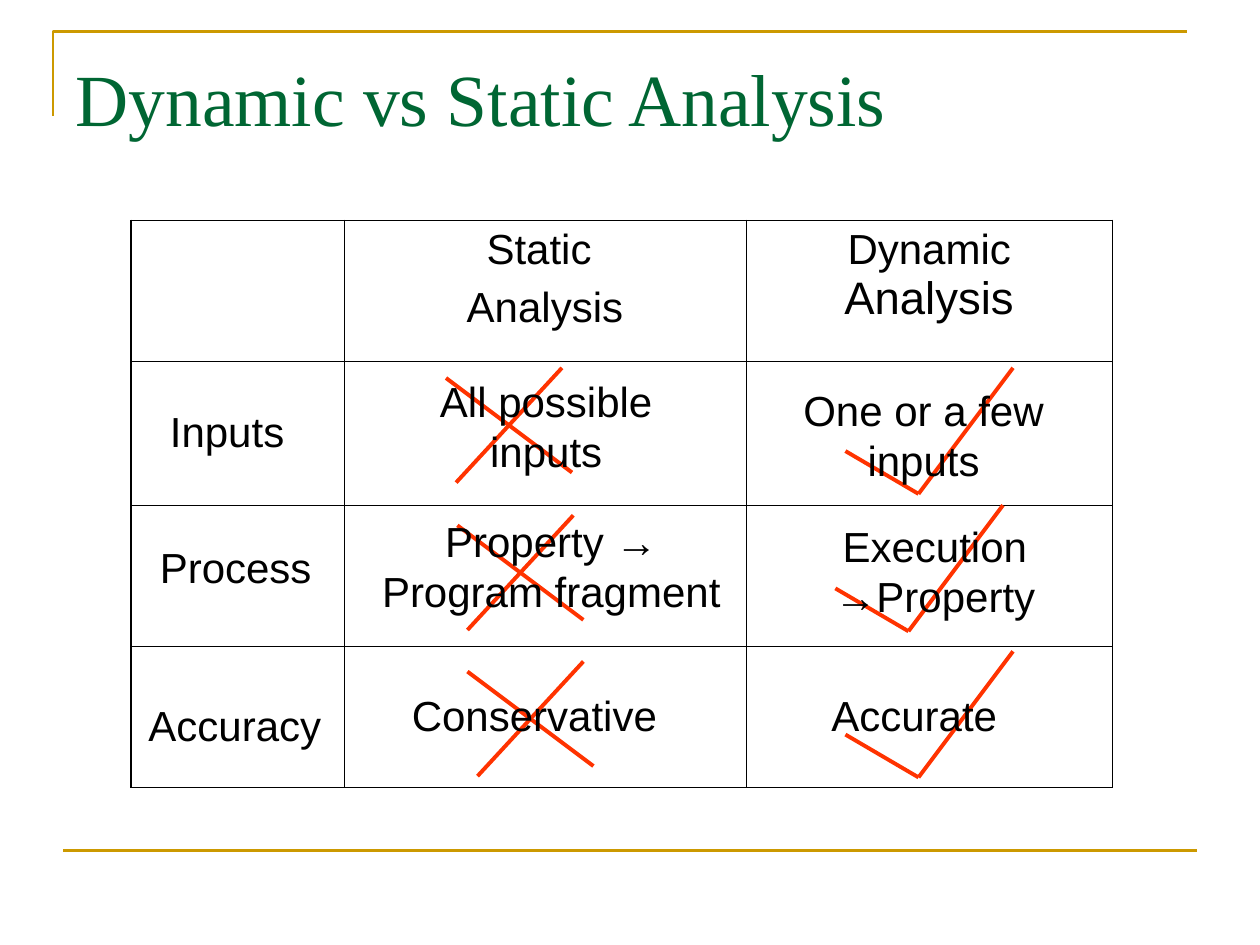
from dataclasses import dataclass

from lxml.etree import SubElement as Sub
from pptx import Presentation
from pptx.dml.color import RGBColor as RGB
from pptx.enum.shapes import MSO_CONNECTOR as Link
from pptx.enum.text import MSO_ANCHOR as Anchor, PP_ALIGN as Align
from pptx.oxml.ns import qn
from pptx.util import Inches, Pt

INK = {"title": "006633", "rule": "CC9900", "mark": "FF3300", "text": "000000"}
BODY = {"name": "Arial", "size": Pt(24)}
HEAD = {"name": "Times New Roman", "size": Pt(42)}
COLS = (1.69, 3.19, 2.91)
ROWS = (1.12, 1.14, 1.12, 1.12)
THIN, THICK = 0.45, 1.08


@dataclass
class Label:
    text: str
    left: float
    top: float
    width: float
    height: float = 0.5
    align: Align = Align.LEFT


@dataclass
class Mark:
    """Strokes that start at each of the given spots."""
    strokes: tuple
    spots: tuple


LABELS = (
    Label("Inputs", 1.25, 3.17, 1.25),
    Label("Process", 1.17, 4.25, 1.5),
    Label("Accuracy", 1.08, 5.5, 1.67),
    Label("All possible inputs", 3.25, 2.93, 2.17, 0.9, Align.CENTER),
    Label("Property → Program fragment", 2.75, 4.04, 3.25, 0.9, Align.CENTER),
    Label("Conservative", 3.17, 5.42, 2.5),
    Label("One or a few inputs", 6.08, 3, 2.5, 0.9, Align.CENTER),
    Label("Execution →Property", 6.17, 4.08, 2.5, 0.9, Align.CENTER),
    Label("Accurate", 6.5, 5.42, 1.83),
)
TICK = Mark((((0, 0), (0.58, 0.34)), ((0.58, 0.34), (1.33, -0.66))),
            ((6.71, 3.58), (6.63, 4.67), (6.71, 5.83)))
CROSS = Mark((((0, 0), (1, 0.75)), ((0.08, 0.83), (0.92, -0.08))),
             ((3.54, 3), (3.63, 4.17), (3.71, 5.33)))


def style(font, form: dict, ink: str = "text") -> None:
    for key, value in form.items():
        setattr(font, key, value)
    font.color.rgb = RGB.from_string(INK[ink])


def paint(line, ink: str, width: float) -> None:
    line.color.rgb = RGB.from_string(INK[ink])
    line.width = Pt(width)


def add_line(slide, start: tuple, end: tuple, ink: str, width: float) -> None:
    ends = [Inches(n) for n in (*start, *end)]
    line = slide.shapes.add_connector(Link.STRAIGHT, *ends)
    paint(line.line, ink, width)
    Sub(line._element.spPr, qn("a:effectLst"))


def add_mark(slide, mark: Mark) -> None:
    for x, y in mark.spots:
        for (x1, y1), (x2, y2) in mark.strokes:
            add_line(slide, (x + x1, y + y1), (x + x2, y + y2), "mark", 2.25)


def add_label(slide, label: Label) -> None:
    sides = (label.left, label.top, label.width, label.height)
    frame = slide.shapes.add_textbox(*map(Inches, sides)).text_frame
    frame.word_wrap = True
    para = frame.paragraphs[0]
    para.text, para.alignment = label.text, label.align
    style(para.runs[0].font, BODY)


def add_frame(slide) -> None:
    """Draw the corner rule at the top and the line at the foot."""
    pen = slide.shapes.build_freeform(Inches(0.42), Inches(0.92))
    corner = ((0.42, 0.25), (9.42, 0.25))
    pen.add_line_segments([(Inches(x), Inches(y)) for x, y in corner], False)
    rule = pen.convert_to_shape()
    rule.shadow.inherit = False
    rule.fill.background()
    paint(rule.line, "rule", 1.5)
    add_line(slide, (0.5, 6.75), (9.5, 6.75), "rule", 1.5)


def set_title(slide, text: str) -> None:
    title = slide.shapes.title
    spot = {"left": 0.5, "top": 0.3, "width": 9, "height": 1.25}
    for key, value in spot.items():
        setattr(title, key, Inches(value))
    frame = title.text_frame
    frame.text = text
    frame.vertical_anchor = Anchor.TOP
    frame.margin_top = Inches(0.12)
    para = frame.paragraphs[0]
    para.alignment = Align.LEFT
    style(para.runs[0].font, HEAD, "title")


def set_edges(cell, edges: dict) -> None:
    props = cell._tc.get_or_add_tcPr()
    for side, width in edges.items():
        line = Sub(props, qn(f"a:ln{side}"), w=str(Pt(width)))
        fill = Sub(line, qn("a:solidFill"))
        Sub(fill, qn("a:srgbClr"), val=INK["text"])


def add_head(cell, paras: tuple) -> None:
    """Fill a head cell; each paragraph is a tuple of (text, size) runs."""
    frame = cell.text_frame
    for i, runs in enumerate(paras):
        para = frame.add_paragraph() if i else frame.paragraphs[0]
        para.alignment = Align.CENTER
        if i:
            para.space_before = Pt(6)
        for text, size in runs:
            run = para.add_run()
            run.text = text
            style(run.font, {**BODY, "size": Pt(size)})


def add_grid(slide) -> None:
    sides = map(Inches, (1.04, 1.75, sum(COLS), sum(ROWS)))
    table = slide.shapes.add_table(len(ROWS), len(COLS), *sides).table
    table.first_row = table.horz_banding = False
    for col, width in zip(table.columns, COLS):
        col.width = Inches(width)
    for row, height in zip(table.rows, ROWS):
        row.height = Inches(height)
    for r in range(len(ROWS)):
        for c in range(len(COLS)):
            outer = {"L": c == 0, "R": c == len(COLS) - 1,
                     "T": r == 0, "B": r == len(ROWS) - 1}
            cell = table.cell(r, c)
            set_edges(cell, {k: THICK if v else THIN for k, v in outer.items()})
            cell.fill.background()
    add_head(table.cell(0, 1), ((("Static ", 24),), (("Analysis", 24),)))
    add_head(table.cell(0, 2), ((("Dynamic ", 24), ("Analysis", 26)),))


def main() -> None:
    deck = Presentation()
    deck.slide_width, deck.slide_height = Inches(10), Inches(7.5)
    slide = deck.slides.add_slide(deck.slide_layouts[5])
    add_frame(slide)
    set_title(slide, "Dynamic vs Static Analysis")
    add_grid(slide)
    for mark in (TICK, CROSS):
        add_mark(slide, mark)
    for label in LABELS:
        add_label(slide, label)
    deck.save("out.pptx")


if __name__ == "__main__":
    main()
